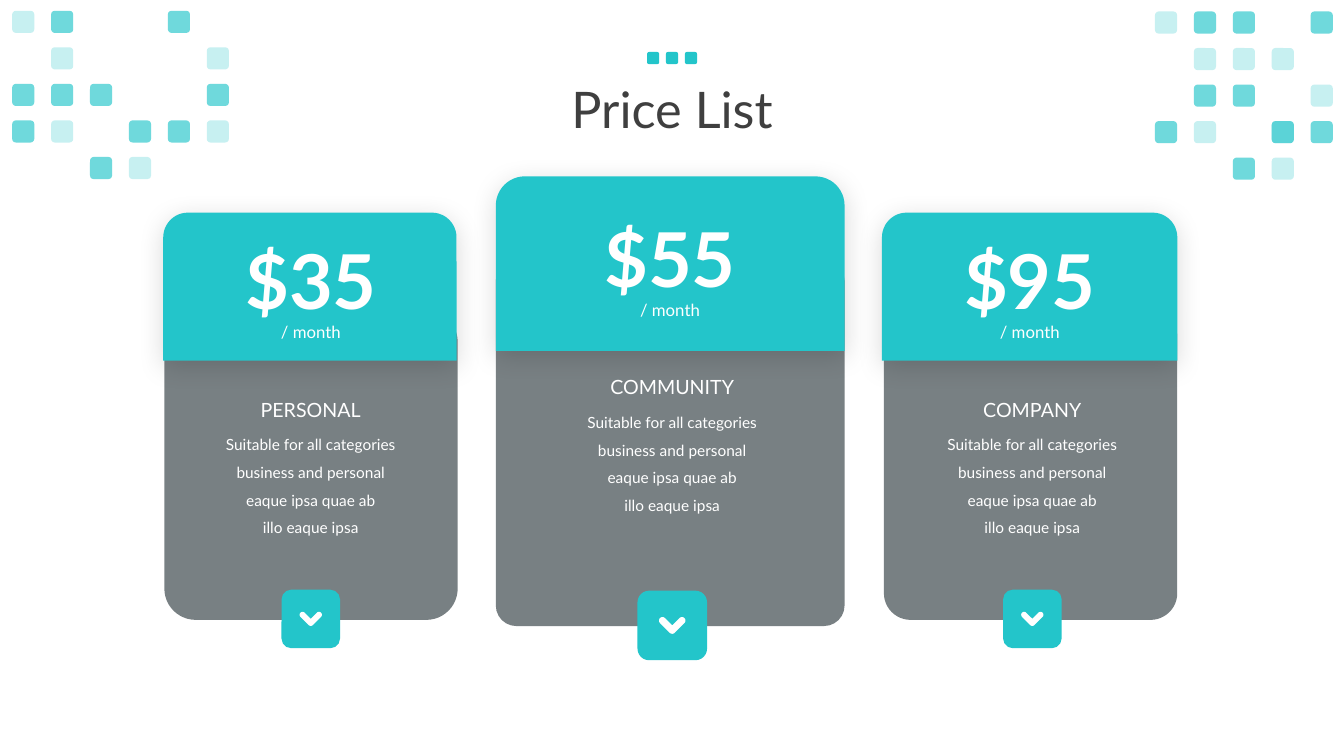
import math
from dataclasses import dataclass
from lxml import etree
from pptx import Presentation
from pptx import util as u
from pptx.dml import color as hue
from pptx.enum import shapes, text
from pptx.oxml import ns


@dataclass(frozen=True)
class Theme:
    font: str = "Lato"
    teal: str = "23C5CA"
    slate: str = "313C41"
    white: str = "FFFFFF"
    ink: str = "3F3F3F"
    title: int = 36
    price: int = 54
    name: int = 14
    term: int = 12
    body: int = 11


def paint(shape, shade, alpha=100):
    shape.shadow.inherit = False
    shape.line.fill.background()
    shape.fill.solid()
    shape.fill.fore_color.rgb = hue.RGBColor.from_string(shade)
    if alpha < 100:
        tone = shape._element.spPr.find(".//" + ns.qn("a:srgbClr"))
        etree.SubElement(tone, ns.qn("a:alpha"), val=str(alpha * 1000))


def write(frame, words, size, shade, space=1.0, bold=False):
    frame.word_wrap = True
    frame.text = words
    for para in frame.paragraphs:
        para.alignment = text.PP_ALIGN.CENTER
        para.line_spacing = space
        for run in para.runs:
            run.font.name = theme.font
            run.font.size = u.Pt(size)
            run.font.bold = bold
            run.font.color.rgb = hue.RGBColor.from_string(shade)


theme = Theme()
kind = shapes.MSO_SHAPE
deck = Presentation()
deck.slide_width, deck.slide_height = u.Pt(960), u.Pt(540)
slide = deck.slides.add_slide(deck.slide_layouts[5])

title = slide.shapes.title
title.left, title.top, title.width, title.height = map(u.Pt, (66, 28, 828, 104.5))
write(title.text_frame, "Price List", theme.title, theme.ink, 0.9)
title.text_frame.vertical_anchor = text.MSO_ANCHOR.MIDDLE

perks = "Suitable for all categories business and personal\neaque ipsa quae ab\nillo eaque ipsa"
cards = [
    ("PERSONAL", "$35", (117.4, 221.8, 209.5, 221), 0.107,
     (116.6, 151.9, 209.5, 105.8), 222.1, 222, 163.4, 421.2, 41.8),
    ("COMMUNITY", "$55", (354.2, 185.8, 249.1, 261.4), 0.059,
     (354.2, 126, 249.1, 124.6), 478.6, 480.2, 147.6, 421.9, 49.7),
    ("COMPANY", "$95", (631.4, 221.8, 209.5, 221), 0.091,
     (630, 151.9, 211, 105.8), 735.6, 737.4, 163.4, 421.2, 41.8),
]

for name, price, base, curve, head, high, low, top, foot, side in cards:
    panel = slide.shapes.add_shape(kind.ROUNDED_RECTANGLE, *map(u.Pt, base))
    panel.adjustments[0] = curve
    paint(panel, theme.slate, 65)

    cap = slide.shapes.add_shape(kind.ROUND_2_SAME_RECTANGLE, *map(u.Pt, head))
    paint(cap, theme.teal)
    glow = etree.SubElement(
        cap._element.spPr.find(ns.qn("a:effectLst")), ns.qn("a:outerShdw"),
        blurRad=str(u.Pt(19)), dist=str(u.Pt(4)), dir="5400000",
        algn="t", rotWithShape="0")
    tone = etree.SubElement(glow, ns.qn("a:srgbClr"), val="000000")
    etree.SubElement(tone, ns.qn("a:alpha"), val="15000")

    labels = [
        (price, high, 0, 120, 72.7, theme.price, 1.0, True),
        ("/ month", high, 56, 80, 26, theme.term, 1.5, False),
        (name, low, 117, 138, 24.5, theme.name, 1.0, False),
        (perks, low, 137.3, 152, 85, theme.body, 1.5, False),
    ]
    for words, mid, drop, wide, tall, size, space, bold in labels:
        box = slide.shapes.add_textbox(
            *map(u.Pt, (mid - wide / 2, top + drop, wide, tall)))
        write(box.text_frame, words, size, theme.white, space, bold)
        box.text_frame.auto_size = text.MSO_AUTO_SIZE.SHAPE_TO_FIT_TEXT

    button = slide.shapes.add_shape(
        kind.ROUNDED_RECTANGLE, *map(u.Pt, (low - side / 2, foot, side, side)))
    paint(button, theme.teal)

    thick = 0.05
    dots = [(0, 0.07 - thick * math.sqrt(2))]
    for x, y, start, end in [(0.14, -0.07, -135, 45), (0, 0.07, 45, 135),
                             (-0.14, -0.07, 135, 315)]:
        for turn in range(start, end + 1, 15):
            angle = math.radians(turn)
            dots.append((x + thick * math.cos(angle), y + thick * math.sin(angle)))
    trace = [(100 * (low + side * x), 100 * (foot + side * (y + 0.5)))
             for x, y in dots]
    pen = slide.shapes.build_freeform(*trace[0], scale=u.Pt(1) / 100)
    pen.add_line_segments(trace[1:], close=True)
    paint(pen.convert_to_shape(), theme.white)

tints = {"l": [25], "D": [65], "B": [65, 25], "F": [100]}
grids = [
    (8.7, 7.7, 27.8, 15.8, ["lD..D.", ".l...l", "DDD..D", "Dl.DDl", "..Dl.."]),
    (825, 8.2, 27.8, 15.8, ["lDD.D", ".lll.", ".DD.l", "Dl.BD", "..Dl."]),
    (462.2, 37.1, 13.5, 8.7, ["FFF"]),
]
for left, top, step, side, rows in grids:
    group = slide.shapes.add_group_shape()
    for row, line in enumerate(rows):
        for col, mark in enumerate(line):
            for alpha in tints.get(mark, []):
                tile = group.shapes.add_shape(
                    kind.ROUNDED_RECTANGLE,
                    *map(u.Pt, (left + col * step, top + row * 26.1, side, side)))
                paint(tile, theme.teal, alpha)

deck.save("out.pptx")
